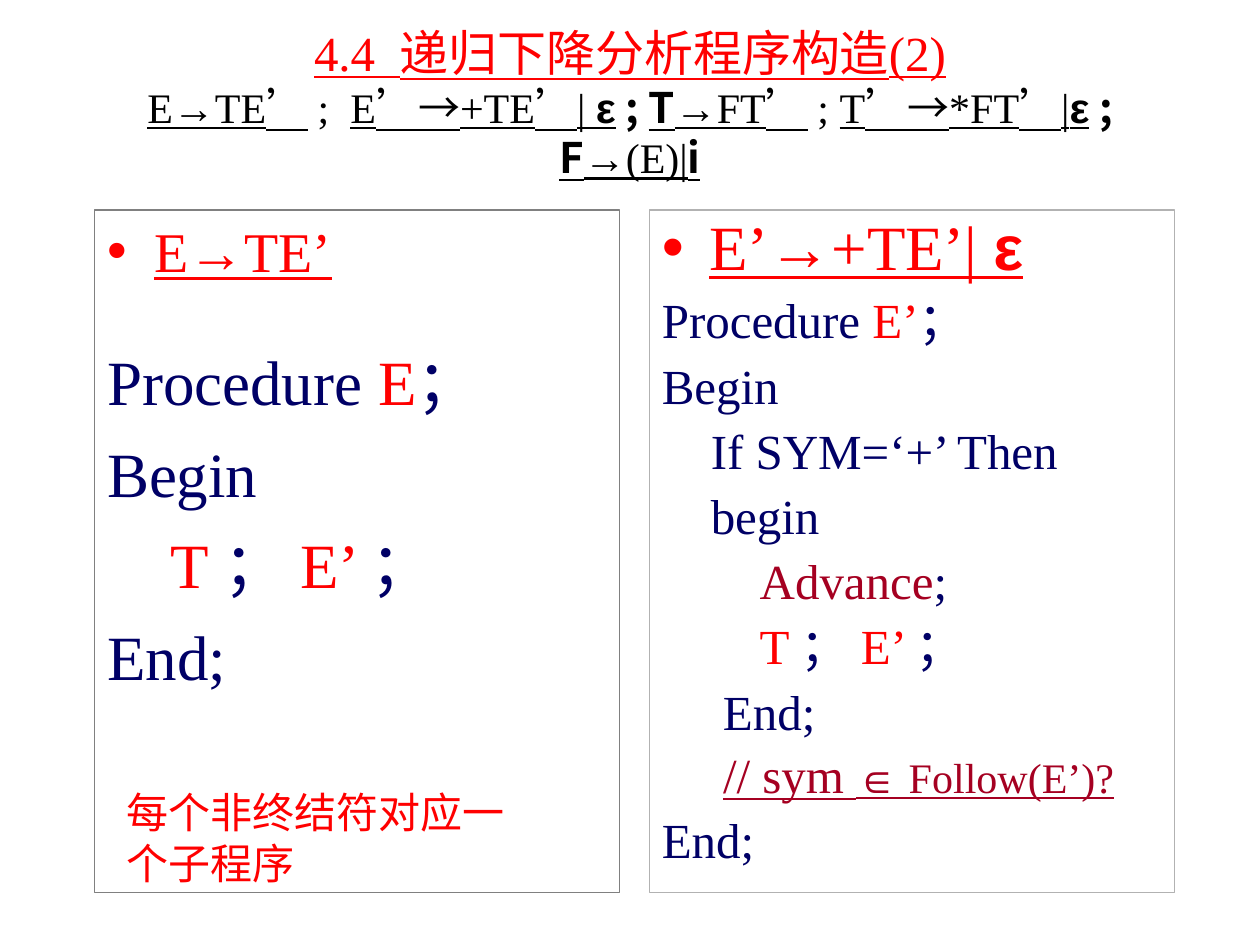
from pptx import Presentation
from pptx.dml.color import RGBColor
from pptx.enum.text import MSO_ANCHOR, MSO_AUTO_SIZE, PP_ALIGN
from pptx.oxml.xmlchemy import OxmlElement
from pptx.util import Pt

CENTER = PP_ALIGN.CENTER
MIDDLE, TOP = MSO_ANCHOR.MIDDLE, MSO_ANCHOR.TOP
FIXED = MSO_AUTO_SIZE.NONE

SERIF, SANS, CJK = "Times New Roman", "Arial", "Noto Sans CJK TC"
RED, NAVY, WINE, BLACK = "FF0000", "000066", "A50021", "000000"


def paint(code):
    return RGBColor.from_string(code)


class Deck:
    def __init__(self):
        self.prs = Presentation()
        self.prs.slide_width, self.prs.slide_height = Pt(720), Pt(540)
        self.slide = self.prs.slides.add_slide(self.prs.slide_layouts[3])

    def style(self, font, size=None, color=None, name=None, bold=None, line=None):
        if size:
            font.size = Pt(size)
        if color:
            font.color.rgb = paint(color)
        if name:
            font.name = name
        if bold is not None:
            font.bold = bold
        if line is not None:
            font.underline = line

    def place(self, shape, box, anchor):
        shape.left, shape.top, shape.width, shape.height = map(Pt, box)
        frame = shape.text_frame
        frame.word_wrap = True
        frame.auto_size = FIXED
        frame.vertical_anchor = anchor
        return frame

    def fill(self, para, runs):
        for text, look in runs:
            run = para.add_run()
            run.text = text
            self.style(run.font, **look)

    def title(self, box, head, rule):
        frame = self.place(self.slide.shapes.title, box, MIDDLE)
        para = frame.paragraphs[0]
        para.alignment = CENTER
        self.fill(para, [head])
        para.add_line_break()
        self.fill(para, rule)

    def bullet(self, para, mark):
        props = para._p.get_or_add_pPr()
        props.set("marL", str(Pt(27)))
        props.set("indent", str(Pt(-27)))
        if not mark:
            props.append(OxmlElement("a:buNone"))
            return
        tint = OxmlElement("a:buClr")
        shade = OxmlElement("a:srgbClr")
        shade.set("val", RED)
        tint.append(shade)
        sign = OxmlElement("a:buChar")
        sign.set("char", "•")
        props.append(tint)
        props.append(sign)

    def panel(self, index, box, edge, size, rows, space=None):
        shape = self.slide.placeholders[index]
        frame = self.place(shape, box, TOP)
        shape.line.color.rgb = paint(edge)
        shape.line.width = Pt(0.75)
        for i, (gap, runs) in enumerate(rows):
            para = frame.add_paragraph() if i else frame.paragraphs[0]
            self.bullet(para, i == 0)
            para.space_before = Pt(gap)
            if space:
                para.line_spacing = space
            self.style(para.font, size, NAVY, SERIF)
            self.fill(para, runs)

    def note(self, box, text):
        shape = self.slide.shapes.add_textbox(*map(Pt, box))
        para = self.place(shape, box, TOP).paragraphs[0]
        self.style(para.font, 24, RED, "Montserrat")
        self.fill(para, [(text, {})])

    def save(self):
        self.prs.save("out.pptx")


def main():
    red, wine, navy = {"color": RED}, {"color": WINE}, {}

    def rule(text, line=True, name=SERIF, bold=False):
        return text, dict(size=24, color=BLACK, name=name, bold=bold, line=line)

    def head(text, size, **more):
        return text, dict(size=size, color=RED, line=True, **more)

    epsilon = rule("ε", name=SANS, bold=True)
    stop = rule(" ; ", False, CJK, True)
    calls = [("T ", red), ("； ", navy), ("E’ ", red), ("；", navy)]

    deck = Deck()
    deck.title(
        (54, 21, 612, 75),
        head("4.4  递归下降分析程序构造(2)", 28, name=SERIF),
        [
            rule("E→TE’"), rule(" ;  ", False), rule("E’→+TE’| "), epsilon, stop,
            rule("T", name=CJK, bold=True), rule("→FT’"), rule(" ; ", False),
            rule("T’→*FT’|"), epsilon, stop,
            rule("F", name=CJK, bold=True), rule("→(E)|"),
            rule("i", name=CJK, bold=True),
        ],
    )
    deck.panel(1, (54, 120, 300, 390), "808080", 36, [
        (0, [head("E→TE’", 32)]),
        (34, [("Procedure ", navy), ("E", red), ("；", navy)]),
        (9, [("Begin", navy)]),
        (9, [("    ", navy)] + calls),
        (9, [("End;", navy)]),
    ])
    deck.panel(2, (371, 120, 300, 390), "B2B2B2", 28, [
        (0, [head("E’→+TE’| ", 36), head("ε", 36, name=SANS, bold=True)]),
        (7, [("Procedure ", navy), ("E’", red), ("；", navy)]),
        (7, [("Begin", navy)]),
        (7, [("    If SYM=‘+’ Then", navy)]),
        (7, [("    begin", navy)]),
        (7, [("        ", navy), ("Advance", wine), (";", navy)]),
        (7, [("        ", navy)] + calls),
        (7, [("     End;", navy)]),
        (6, [
            ("     ", navy),
            ("// sym ", dict(wine, line=True)),
            ("∈", dict(wine, size=24, name=SANS, line=True)),
            (" Follow(E’)?", dict(wine, size=24, line=True)),
        ]),
        (7, [("End;", navy)]),
    ], 0.9)
    deck.note((65, 446, 250, 65), "每个非终结符对应一个子程序")
    deck.save()


if __name__ == "__main__":
    main()
